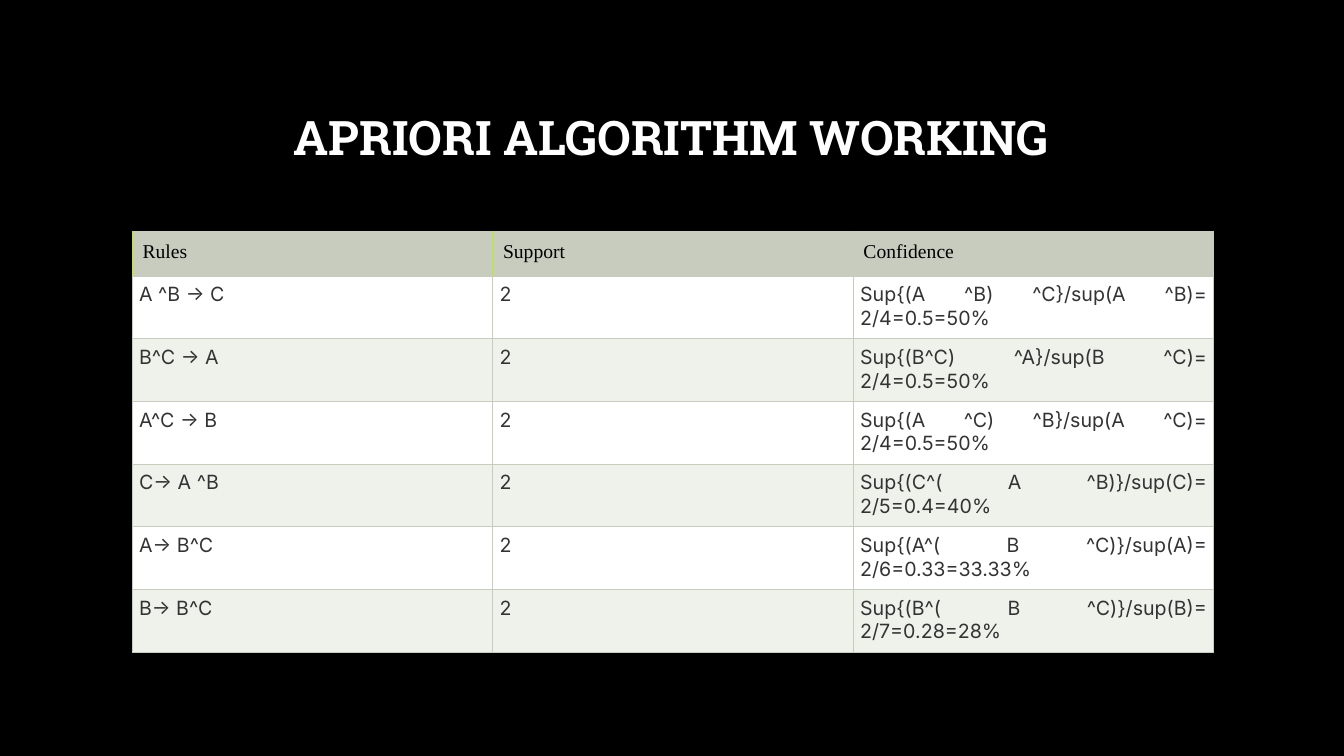
import pptx
import pptx.util
import pptx.dml.color
import pptx.enum.text
import pptx.oxml
import pptx.oxml.ns
from dataclasses import dataclass

Pt = pptx.util.Pt
ALIGN = pptx.enum.text.PP_ALIGN
ANCHOR = pptx.enum.text.MSO_ANCHOR


@dataclass(frozen=True)
class Theme:
    background: str = "000000"
    title: str = "FFFFFF"
    header_text: str = "000000"
    body_text: str = "333333"
    header_fill: str = "C7CCBE"
    bands: tuple = ("FFFFFF", "EFF1EB")
    grid: str = "C7CCBE"
    accent: str = "B8ED1A"
    title_font: str = "Roboto Slab"
    header_font: str = "Times New Roman"
    body_font: str = "Inter"
    title_size: float = 34
    table_size: float = 14
    border: float = 0.75


THEME = Theme()
HEADINGS = ("Rules", "Support", "Confidence")
RULES = (
    ("A ^B → C", "2", "Sup{(A ^B) ^C}/sup(A ^B)= 2/4=0.5=50%"),
    ("B^C → A", "2", "Sup{(B^C) ^A}/sup(B ^C)= 2/4=0.5=50%"),
    ("A^C → B", "2", "Sup{(A ^C) ^B}/sup(A ^C)= 2/4=0.5=50%"),
    ("C→ A ^B", "2", "Sup{(C^( A ^B)}/sup(C)= 2/5=0.4=40%"),
    ("A→ B^C", "2", "Sup{(A^( B ^C)}/sup(A)= 2/6=0.33=33.33%"),
    ("B→ B^C", "2", "Sup{(B^( B ^C)}/sup(B)= 2/7=0.28=28%"),
)
COLUMN_WIDTH, HEADER_HEIGHT, ROW_HEIGHT = 257.5, 32.2, 44.8


def rgb(value):
    return pptx.dml.color.RGBColor.from_string(value)


def set_attributes(target, values):
    for name, value in values.items():
        setattr(target, name, value)


def write_text(tf, text, font, size, color, align, bold=False):
    p = tf.paragraphs[0]
    p.alignment = align
    r = p.add_run()
    r.text = text
    set_attributes(r.font, {"name": font, "size": Pt(size), "bold": bold})
    r.font.color.rgb = rgb(color)
    return p


def add_title(s, text):
    sp = s.shapes.add_textbox(Pt(72), Pt(48), Pt(815), Pt(104.4))
    tf = sp.text_frame
    set_attributes(tf, {"word_wrap": True, "vertical_anchor": ANCHOR.MIDDLE})
    p = write_text(tf, text, THEME.title_font, THEME.title_size, THEME.title,
                   ALIGN.CENTER, bold=True)
    p.line_spacing = 0.9


def set_borders(cell, colors):
    """Draw the sides in the order left, right, top, bottom."""
    tc_pr = cell._tc.get_or_add_tcPr()
    for i, (side, color) in enumerate(zip("LRTB", colors)):
        tc_pr.insert(i, pptx.oxml.parse_xml(
            f'<a:ln{side} {pptx.oxml.ns.nsdecls("a")} w="{Pt(THEME.border)}">'
            f'<a:solidFill><a:srgbClr val="{color}"/></a:solidFill></a:ln{side}>'))


def fill_cell(cell, text, font, color, fill, inset, align, borders):
    sides = ("left", "right", "top", "bottom")
    set_attributes(cell, {f"margin_{side}": Pt(inset) for side in sides})
    cell.fill.solid()
    cell.fill.fore_color.rgb = rgb(fill)
    set_borders(cell, borders)
    write_text(cell.text_frame, text, font, THEME.table_size, color, align)


def add_rules_table(s):
    rows, cols = len(RULES) + 1, len(HEADINGS)
    table = s.shapes.add_table(
        rows, cols, Pt(94.6), Pt(165), Pt(COLUMN_WIDTH * cols),
        Pt(HEADER_HEIGHT + ROW_HEIGHT * len(RULES))).table
    set_attributes(table, {"first_row": False, "horz_banding": False})
    for column in table.columns:
        column.width = Pt(COLUMN_WIDTH)
    for i, row in enumerate(table.rows):
        row.height = Pt(ROW_HEIGHT if i else HEADER_HEIGHT)

    grid, accent = THEME.grid, THEME.accent
    edges = (accent, accent, grid, grid)
    for col, heading in enumerate(HEADINGS):
        fill_cell(table.cell(0, col), heading, THEME.header_font,
                  THEME.header_text, THEME.header_fill, 7.2, ALIGN.LEFT,
                  (edges[col], edges[col + 1], grid, grid))
    for i, rule in enumerate(RULES):
        for col, text in enumerate(rule):
            fill_cell(table.cell(i + 1, col), text, THEME.body_font,
                      THEME.body_text, THEME.bands[i % 2], 4.8,
                      ALIGN.JUSTIFY, (grid,) * 4)


def main():
    prs = pptx.Presentation()
    set_attributes(prs, {"slide_width": Pt(960), "slide_height": Pt(540)})
    s = prs.slides.add_slide(prs.slide_layouts[6])
    s.background.fill.solid()
    s.background.fill.fore_color.rgb = rgb(THEME.background)
    add_title(s, "APRIORI ALGORITHM WORKING")
    add_rules_table(s)
    prs.save("out.pptx")


if __name__ == "__main__":
    main()
